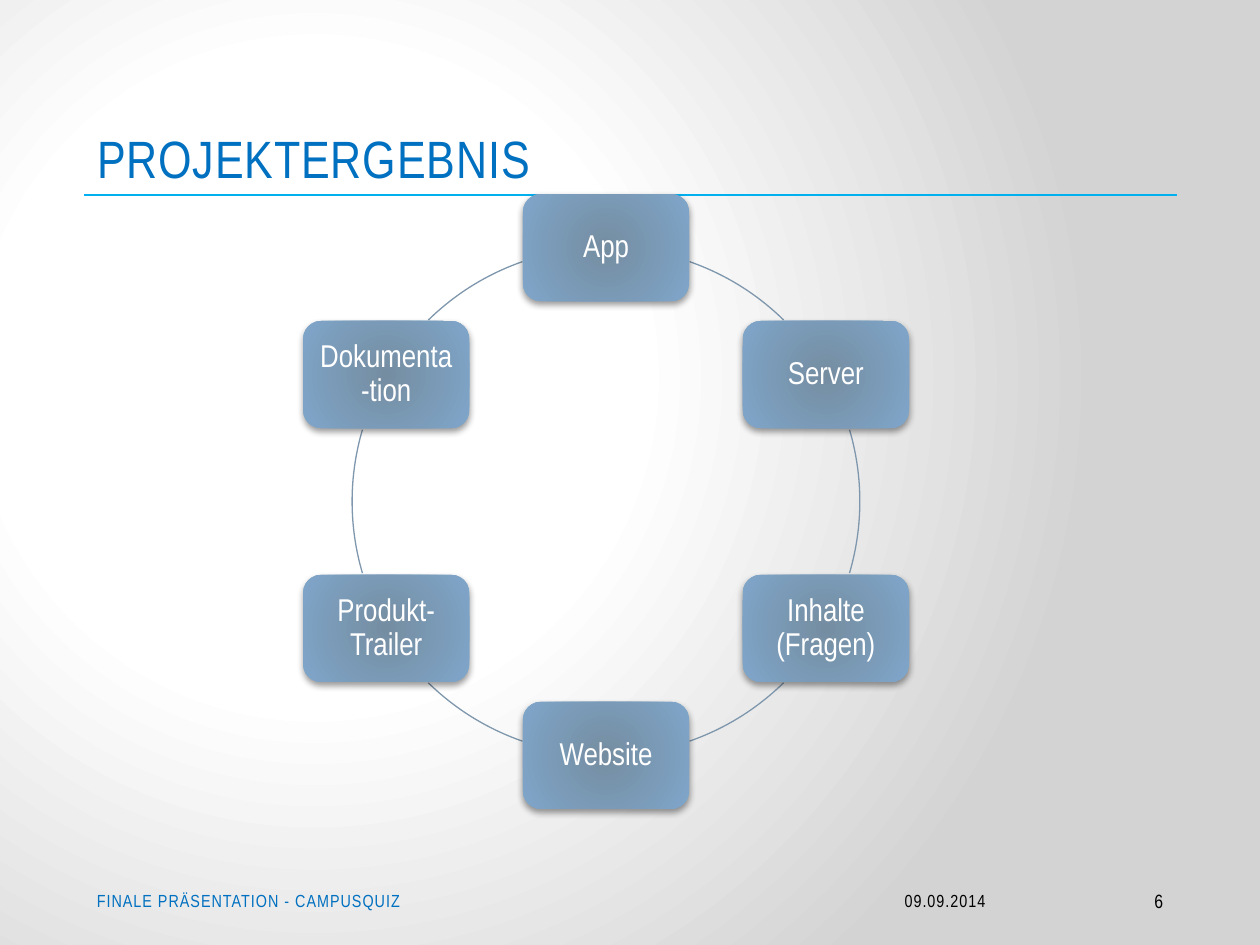
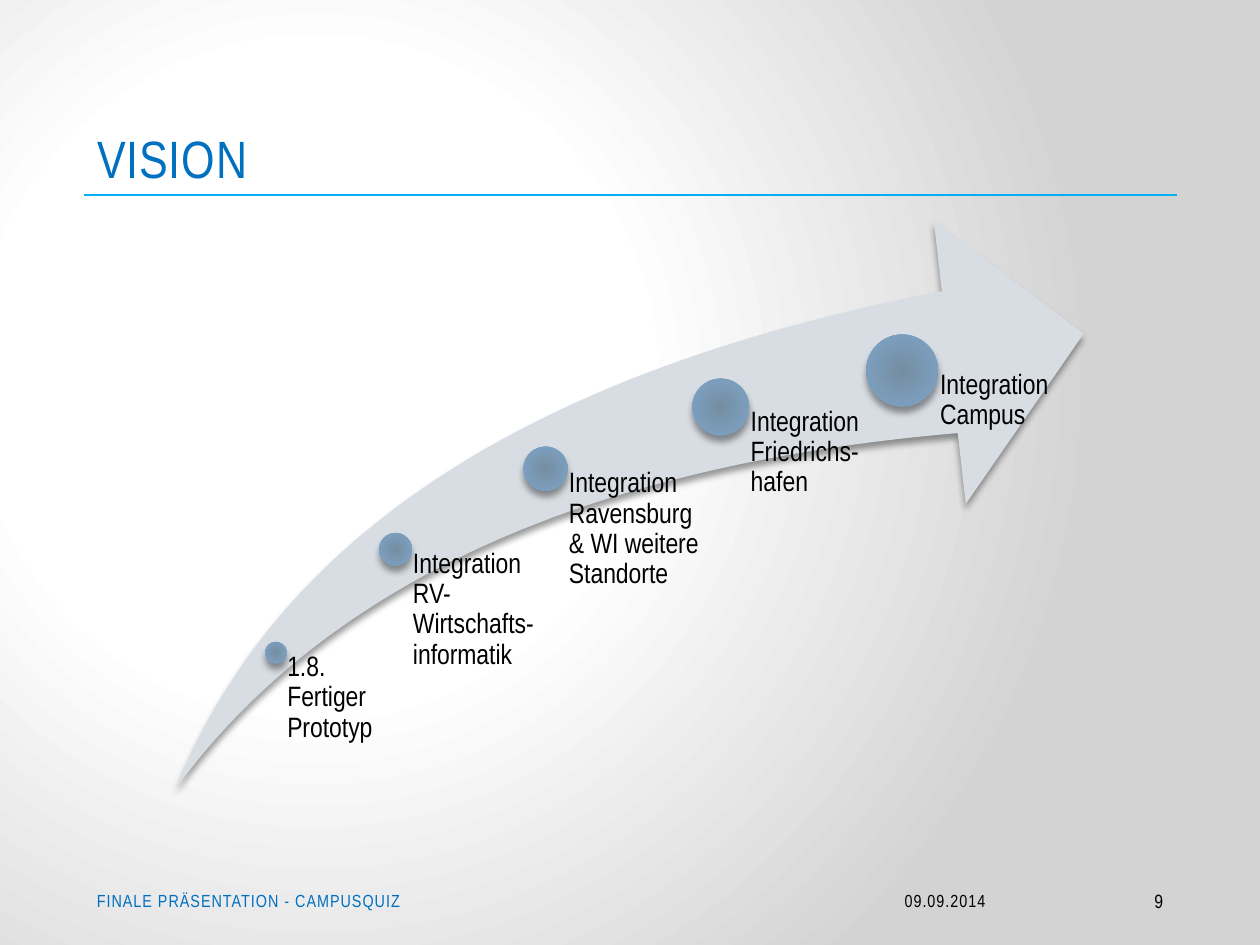
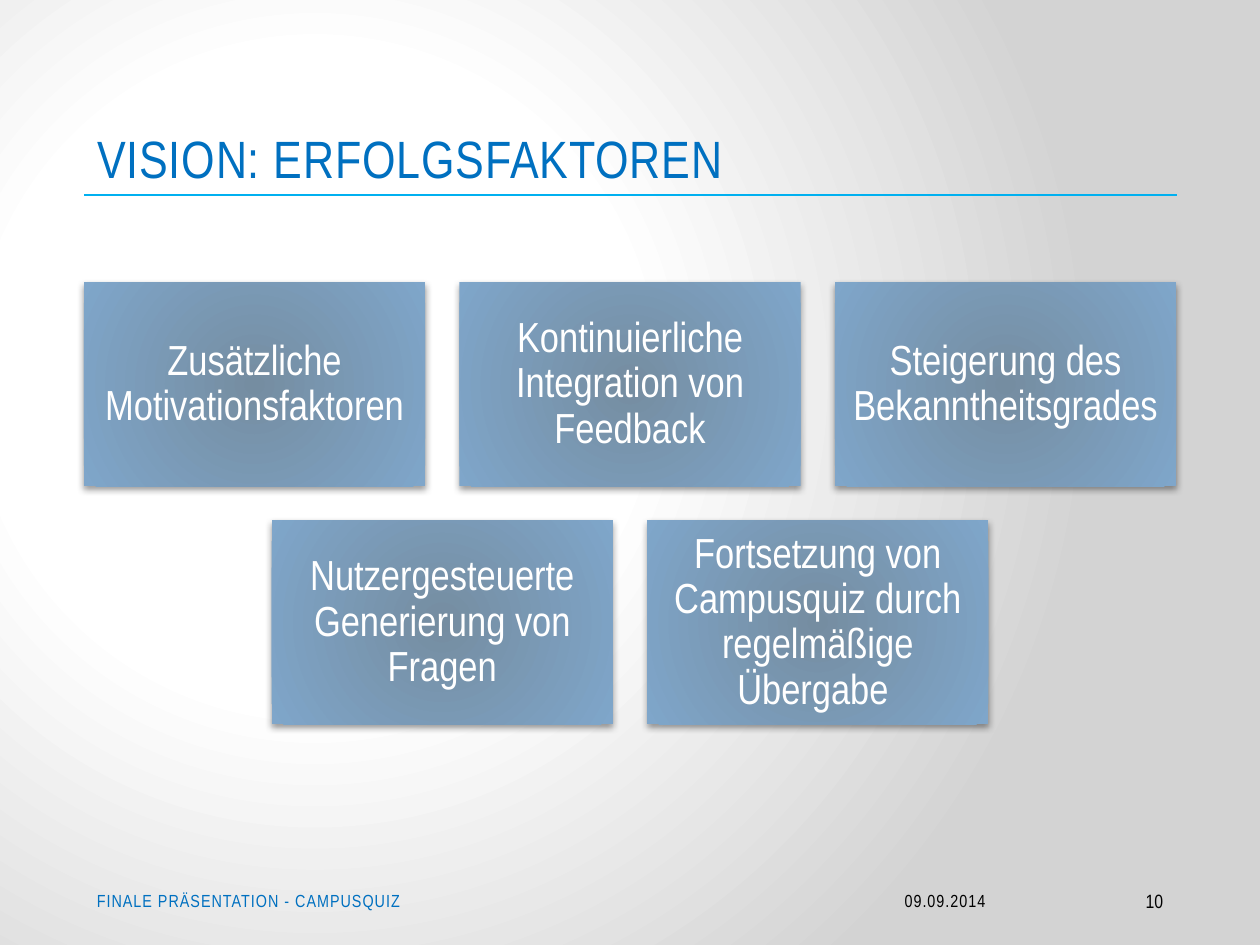
import copy
import math
from lxml import etree
from pptx import Presentation
from pptx import util as u
from pptx.dml.color import RGBColor
from pptx.enum import shapes, text
from pptx.oxml.ns import qn

COLUMNS, ROWS = 100, 75
SHAPE = shapes.MSO_SHAPE
ALIGN = text.PP_ALIGN
ANCHOR = text.MSO_ANCHOR
BLUE, SKY, STEEL, PALE = "0070C0", "00B0F0", "7E97AD", "D8DDE3"
BLACK, WHITE = "000000", "FFFFFF"
PAGE_STOPS = [(0, WHITE), (41, WHITE), (100, "D3D3D3")]
BOX_STOPS = [(0, "758DA1"), (100, "7FA6CA")]


def color(value):
    return RGBColor.from_string(value)


def add_node(parent, tag, **values):
    node = etree.SubElement(parent, qn(tag))
    for name, value in values.items():
        node.set(name, str(value))
    return node


def set_values(target, values):
    for name, value in values.items():
        setattr(target, name, value)


def radial(fill, element, stops, focus):
    fill.gradient()
    gradient = next(element.iter(qn("a:gradFill")))
    for child in list(gradient):
        gradient.remove(child)
    stop_list = add_node(gradient, "a:gsLst")
    for position, value in stops:
        stop = add_node(stop_list, "a:gs", pos=position * 1000)
        add_node(stop, "a:srgbClr", val=value)
    circle = add_node(gradient, "a:path", path="circle")
    sides = {side: share * 1000 for side, share in zip("ltrb", focus)}
    add_node(circle, "a:fillToRect", **sides)


class Slides:
    font = "Arial Narrow"
    margin = 6.7
    width = 86.7
    footer = (("FINALE PRÄSENTATION - CAMPUSQUIZ", margin, 31.7, BLUE, ALIGN.LEFT),
              ("09.09.2014", 62.5, 16.7, BLACK, ALIGN.RIGHT))

    def __init__(self):
        self.deck = Presentation()
        self.deck.slide_width, self.deck.slide_height = u.Inches(10), u.Inches(7.5)
        self.column = self.deck.slide_width / COLUMNS
        self.row = self.deck.slide_height / ROWS
        master = self.deck.slide_master
        radial(master.background.fill, master.element, PAGE_STOPS, (50, 80, 100, 100))
        self.page = None

    def place(self, left, top, width, height):
        return [round(share * step) for share, step in
                zip((left, top, width, height), (self.column, self.row) * 2)]

    def set_text(self, shape, words, size, ink, align=ALIGN.LEFT, anchor=ANCHOR.TOP,
                 insets=(1, 0.5, 1, 0.5), line_spacing=None, tracking=None):
        frame = shape.text_frame
        left, top, right, bottom = self.place(*insets)
        set_values(frame, {"word_wrap": True, "auto_size": text.MSO_AUTO_SIZE.NONE,
                           "vertical_anchor": anchor, "margin_left": left, "margin_top": top,
                           "margin_right": right, "margin_bottom": bottom})
        para = frame.paragraphs[0]
        para.text = words
        set_values(para, {"alignment": align, "line_spacing": line_spacing})
        for span in para.runs:
            set_values(span.font, {"name": self.font, "size": u.Pt(size)})
            span.font.color.rgb = color(ink)
            if tracking:
                span.font._element.set("spc", str(tracking))
        for line_break in para._p.findall(qn("a:br")):
            line_break.append(copy.deepcopy(para.runs[0].font._element))

    def label(self, words, area, size, ink, **style):
        box = self.page.shapes.add_textbox(*self.place(*area))
        self.set_text(box, words, size, ink, **style)

    def rule(self, left, top, width):
        start_x, start_y, length, _ = self.place(left, top, width, 0)
        line = self.page.shapes.add_connector(
            shapes.MSO_CONNECTOR.STRAIGHT, start_x, start_y, start_x + length, start_y)
        line.line.color.rgb = color(SKY)
        line.line.width = u.Pt(1.25)
        add_node(line._element.spPr, "a:effectLst")

    def shape(self, kind, area, fill=None, drop=2):
        shape = self.page.shapes.add_shape(kind, *self.place(*area))
        shape.line.fill.background()
        shape.shadow.inherit = False
        if fill:
            shape.fill.solid()
            shape.fill.fore_color.rgb = color(fill)
        else:
            radial(shape.fill, shape._element.spPr, BOX_STOPS, (100, 100, 100, 100))
        effects = shape._element.spPr.find(qn("a:effectLst"))
        shadow = add_node(effects, "a:outerShdw", blurRad=u.Pt(4), dist=u.Pt(drop),
                          dir=90 * 60000, rotWithShape=0)
        add_node(add_node(shadow, "a:srgbClr", val=BLACK), "a:alpha", val=40000)
        return shape

    def box(self, kind, words, area, size, inset):
        box = self.shape(kind, area)
        self.set_text(box, words, size, WHITE, align=ALIGN.CENTER, anchor=ANCHOR.MIDDLE,
                      insets=(inset,) * 4, line_spacing=0.9)

    def arc(self, area, start, end):
        arc = self.page.shapes.add_shape(SHAPE.ARC, *self.place(*area))
        arc.shadow.inherit = False
        arc.fill.background()
        arc.line.color.rgb = color(STEEL)
        arc.line.width = u.Pt(0.75)
        for index, angle in enumerate((start, end)):
            arc.adjustments[index] = angle * 0.6

    def start(self, heading, number):
        self.page = self.deck.slides.add_slide(self.deck.slide_layouts[5])
        title = self.page.shapes.title
        area = self.place(self.margin, 3, self.width, 12.5)
        set_values(title, dict(zip(("left", "top", "width", "height"), area)))
        self.set_text(title, heading, 30, BLUE, anchor=ANCHOR.BOTTOM, tracking=50)
        self.rule(self.margin, 15.5, self.width)
        for words, left, width, ink, align in self.footer:
            self.label(words, (left, 69.5, width, 4), 10, ink, align=align,
                       anchor=ANCHOR.MIDDLE, tracking=60)
        self.label(str(number), (82.5, 69.5, 10.8, 4), 11, BLACK, align=ALIGN.RIGHT,
                   anchor=ANCHOR.MIDDLE)


def result_slide(slides):
    slides.start("PROJEKTERGEBNIS", 6)
    parts = ("App", "Server", "Inhalte (Fragen)", "Website", "Produkt-Trailer", "Dokumenta-tion")
    center_x, center_y, radius = 48.1, 39.8, 20.15
    width, height = 13.2, 8.5
    ring = (center_x - radius, center_y - radius, 2 * radius, 2 * radius)
    for start, end in ((289.2, 314.4), (343.6, 16.4), (45.6, 70.8)):
        slides.arc(ring, start, end)
        slides.arc(ring, (540 - end) % 360, (540 - start) % 360)
    for index, words in enumerate(parts):
        angle = math.radians(index * 360 / len(parts) - 90)
        left = center_x + radius * math.cos(angle) - width / 2
        top = center_y + radius * math.sin(angle) - height / 2
        slides.box(SHAPE.ROUNDED_RECTANGLE, words, (left, top, width, height), 18, 0.7)


def vision_slide(slides):
    slides.start("VISION", 9)
    bottom = 62.5
    arrow = slides.shape(SHAPE.SWOOSH_ARROW, (14, 17.5, 72, 45), PALE, 3.4)
    for index in range(2):
        arrow.adjustments[index] = 0.25
    milestones = (
        ("1.8. Fertiger Prototyp", 21.9, 51.8, 1.7, 9.4),
        ("Integration RV-Wirtschafts-informatik", 31.4, 43.6, 2.6, 12),
        ("Integration Ravensburg\v& WI weitere Standorte", 43.3, 37.2, 3.5, 13.9),
        ("Integration Friedrichs-hafen", 57.2, 32.3, 4.5, 14.4),
        ("Integration Campus", 71.6, 29.4, 5.7, 14.4))
    for words, x, y, size, width in milestones:
        slides.shape(SHAPE.OVAL, (x - size / 2, y - size / 2, size, size), drop=3.4)
        slides.label(words, (x, y, width, bottom - y), 16, BLACK,
                     insets=(size * 0.53, 0, 0, 0), line_spacing=0.9)


def factors_slide(slides):
    slides.start("VISION: ERFOLGSFAKTOREN", 10)
    width, height, gap = 27.1, 16.2, 2.7
    factors = (
        ("Zusätzliche Motivationsfaktoren", "Kontinuierliche Integration von Feedback",
         "Steigerung des Bekanntheitsgrades"),
        ("Nutzergesteuerte Generierung von Fragen",
         "Fortsetzung von Campusquiz durch regelmäßige Übergabe "))
    for row, line in enumerate(factors):
        left = (COLUMNS - len(line) * (width + gap) + gap) / 2
        top = 22.4 + row * (height + gap)
        for index, words in enumerate(line):
            area = (left + index * (width + gap), top, width, height)
            slides.box(SHAPE.RECTANGLE, words, area, 24, 1)


def main():
    slides = Slides()
    for build in (result_slide, vision_slide, factors_slide):
        build(slides)
    slides.deck.save("out.pptx")


if __name__ == "__main__":
    main()
